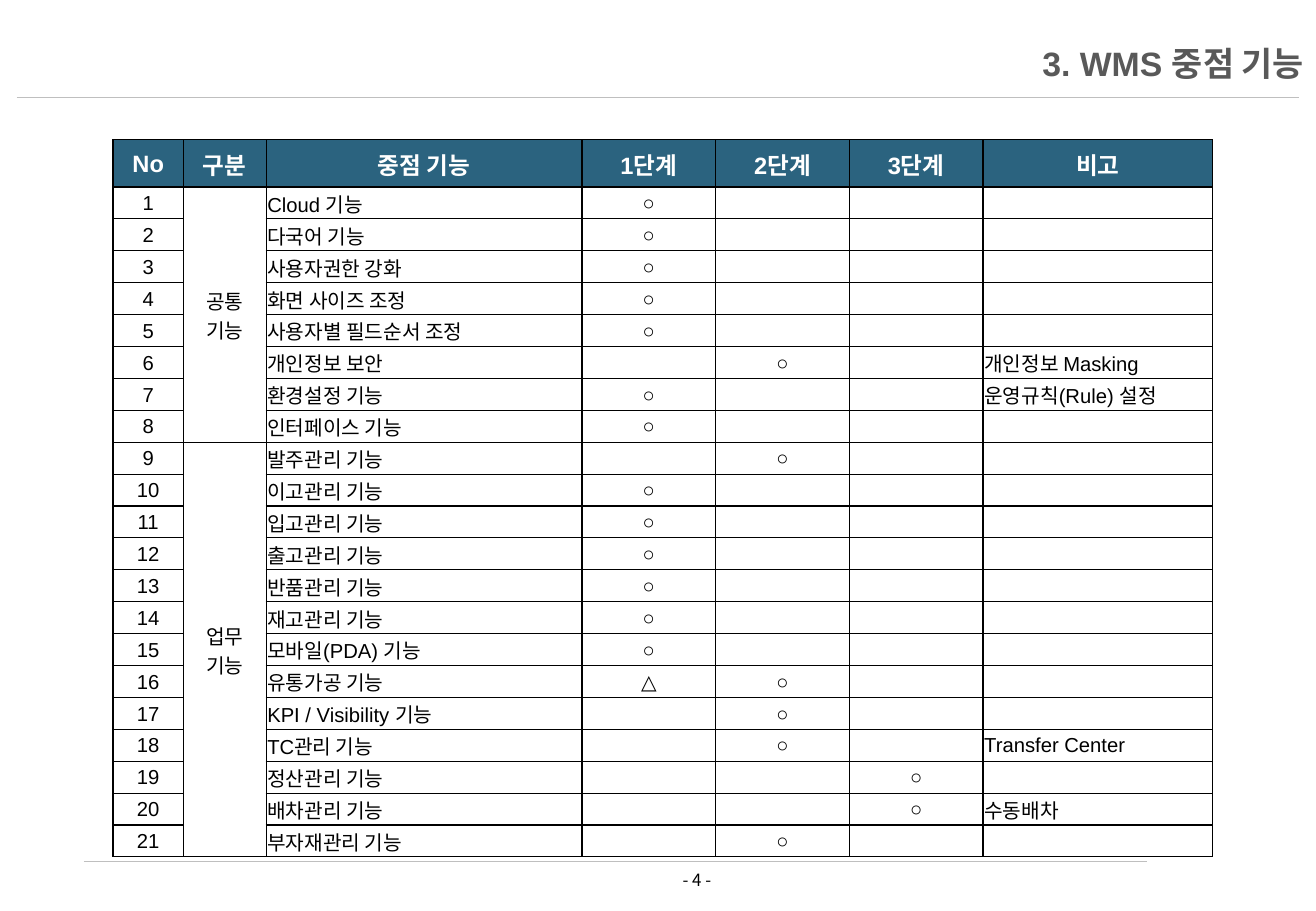
from lxml import etree
from pptx import Presentation, util as u
from pptx.dml.color import RGBColor
from pptx.enum import dml, shapes, text
from pptx.oxml import ns

HEADINGS = ["No", "구분", "중점 기능", "1단계", "2단계", "3단계", "비고"]
COLUMN_WIDTHS = [0.58, 0.68, 2.6, 1.1, 1.1, 1.1, 1.89]
HEADER_HEIGHT, TABLE_HEIGHT = 0.39, 5.91
CENTERED_COLUMNS = {0, 1, 3, 4, 5}
# Each group: label, then (feature, marks by stage, remark)
GROUPS = [
    ("공통\n기능", [
        ("Cloud 기능", {1: "○"}, ""),
        ("다국어 기능", {1: "○"}, ""),
        ("사용자권한 강화", {1: "○"}, ""),
        ("화면 사이즈 조정", {1: "○"}, ""),
        ("사용자별 필드순서 조정", {1: "○"}, ""),
        ("개인정보 보안", {2: "○"}, "개인정보 Masking"),
        ("환경설정 기능", {1: "○"}, "운영규칙(Rule) 설정"),
        ("인터페이스 기능", {1: "○"}, ""),
    ]),
    ("업무\n기능", [
        ("발주관리 기능", {2: "○"}, ""),
        ("이고관리 기능", {1: "○"}, ""),
        ("입고관리 기능", {1: "○"}, ""),
        ("출고관리 기능", {1: "○"}, ""),
        ("반품관리 기능", {1: "○"}, ""),
        ("재고관리 기능", {1: "○"}, ""),
        ("모바일(PDA) 기능", {1: "○"}, ""),
        ("유통가공 기능", {1: "△", 2: "○"}, ""),
        ("KPI / Visibility 기능", {2: "○"}, ""),
        ("TC관리 기능", {2: "○"}, "Transfer Center"),
        ("정산관리 기능", {3: "○"}, ""),
        ("배차관리 기능", {3: "○"}, "수동배차"),
        ("부자재관리 기능", {2: "○"}, ""),
    ]),
]


def rgb(value):
    return RGBColor.from_string(value)


def write_text(frame, content, size=12, font="Arial", color="000000", bold=False,
               align=text.PP_ALIGN.CENTER):
    """Fill a text frame, one paragraph per line of content."""
    for index, line in enumerate(content.split("\n")):
        paragraph = frame.add_paragraph() if index else frame.paragraphs[0]
        paragraph.alignment = align
        if not line:
            etree.SubElement(paragraph._p, ns.qn("a:endParaRPr"), sz=str(size * 100))
            continue
        run = paragraph.add_run()
        run.text = line
        run.font.size = u.Pt(size)
        run.font.name = font
        run.font.bold = bold
        run.font.color.rgb = rgb(color)
        etree.SubElement(run.font._element, ns.qn("a:ea"), typeface="Noto Sans CJK KR")


class FeatureSlide:
    rule_color = "BFBFBF"
    border_color = "000000"
    header_fill = "2B637F"
    body_fill = "FFFFFF"

    def __init__(self, presentation):
        self.slide = presentation.slides.add_slide(presentation.slide_layouts[6])

    def rule(self, left, right, top):
        """Draw a thin dotted horizontal line."""
        line = self.slide.shapes.add_connector(
            shapes.MSO_CONNECTOR.STRAIGHT,
            u.Inches(left), u.Inches(top), u.Inches(right), u.Inches(top))
        line.line.color.rgb = rgb(self.rule_color)
        line.line.width = u.Pt(0.25)
        line.line.dash_style = dml.MSO_LINE.ROUND_DOT
        etree.SubElement(line._element.spPr, ns.qn("a:effectLst"))

    def text_box(self, left, top, width, height, content, **style):
        box = self.slide.shapes.add_textbox(*map(u.Inches, (left, top, width, height)))
        box.text_frame.word_wrap = True
        box.text_frame.vertical_anchor = text.MSO_ANCHOR.MIDDLE
        write_text(box.text_frame, content, **style)

    def cell(self, cell, content, fill, **style):
        cell.margin_left = cell.margin_right = cell.margin_top = u.Inches(0.01)
        cell.margin_bottom = 0
        cell.vertical_anchor = text.MSO_ANCHOR.MIDDLE
        properties = cell._tc.get_or_add_tcPr()
        for side in ("lnL", "lnR", "lnT", "lnB"):
            border = etree.SubElement(properties, ns.qn(f"a:{side}"), w=str(u.Pt(0.75)))
            paint = etree.SubElement(border, ns.qn("a:solidFill"))
            etree.SubElement(paint, ns.qn("a:srgbClr"), val=self.border_color)
        cell.fill.solid()
        cell.fill.fore_color.rgb = rgb(fill)
        write_text(cell.text_frame, content, **style)

    def feature_table(self, left, top):
        rows = []
        for label, features in GROUPS:
            for index, (feature, marks, remark) in enumerate(features):
                stages = [marks.get(stage, "") for stage in (1, 2, 3)]
                rows.append([str(len(rows) + 1), "" if index else label,
                             feature, *stages, remark])
        table = self.slide.shapes.add_table(
            len(rows) + 1, len(HEADINGS), u.Inches(left), u.Inches(top),
            u.Inches(sum(COLUMN_WIDTHS)), u.Inches(TABLE_HEIGHT)).table
        table.first_row = table.horz_banding = False
        for column, width in zip(table.columns, COLUMN_WIDTHS):
            column.width = u.Inches(width)
        for row in table.rows:
            row.height = u.Inches((TABLE_HEIGHT - HEADER_HEIGHT) / len(rows))
        table.rows[0].height = u.Inches(HEADER_HEIGHT)

        for column, heading in enumerate(HEADINGS):
            self.cell(table.cell(0, column), heading, self.header_fill,
                      size=14, color="FFFFFF", bold=True)
        for number, values in enumerate(rows, 1):
            for column, value in enumerate(values):
                centered = column in CENTERED_COLUMNS
                align = text.PP_ALIGN.CENTER if centered else text.PP_ALIGN.LEFT
                self.cell(table.cell(number, column), value, self.body_fill, align=align)
        first = 1
        for _, features in GROUPS:
            last = first + len(features) - 1
            table.cell(first, 1).merge(table.cell(last, 1))
            first = last + 1


def main():
    presentation = Presentation()
    presentation.slide_width = u.Inches(10.83)
    presentation.slide_height = u.Inches(7.5)
    page = FeatureSlide(presentation)
    page.rule(0.14, 10.69, 0.8)
    page.rule(0.69, 9.43, 7.09)
    page.text_box(4.71, 7.11, 2.05, 0.27, "- 4 -", size=10, font="Noto Sans CJK KR")
    page.text_box(1.08, 0.29, 9.75, 0.45, "3. WMS 중점 기능", size=20, color="595959",
                  bold=True, align=text.PP_ALIGN.RIGHT)
    page.feature_table(0.93, 1.15)
    presentation.save("out.pptx")


if __name__ == "__main__":
    main()
